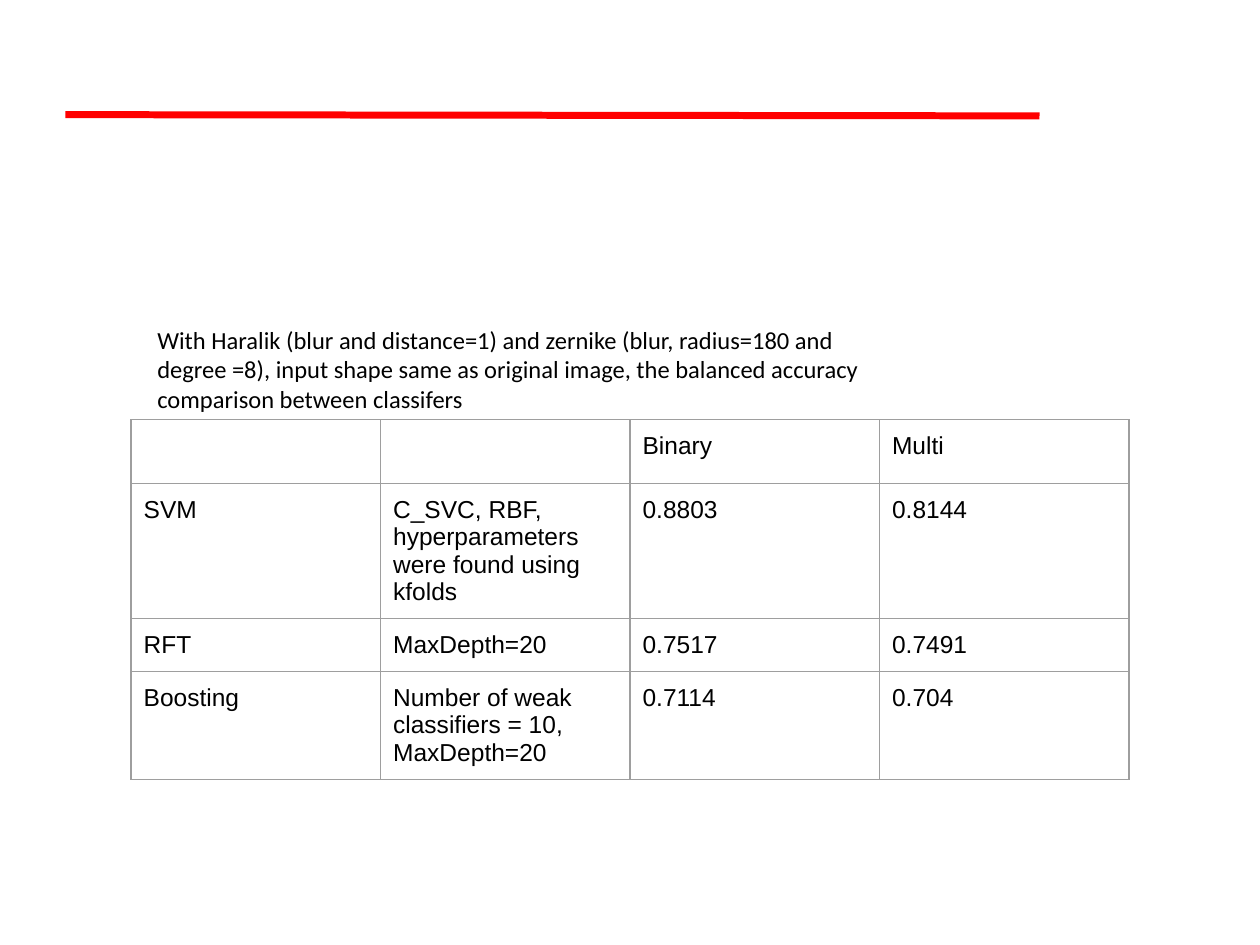
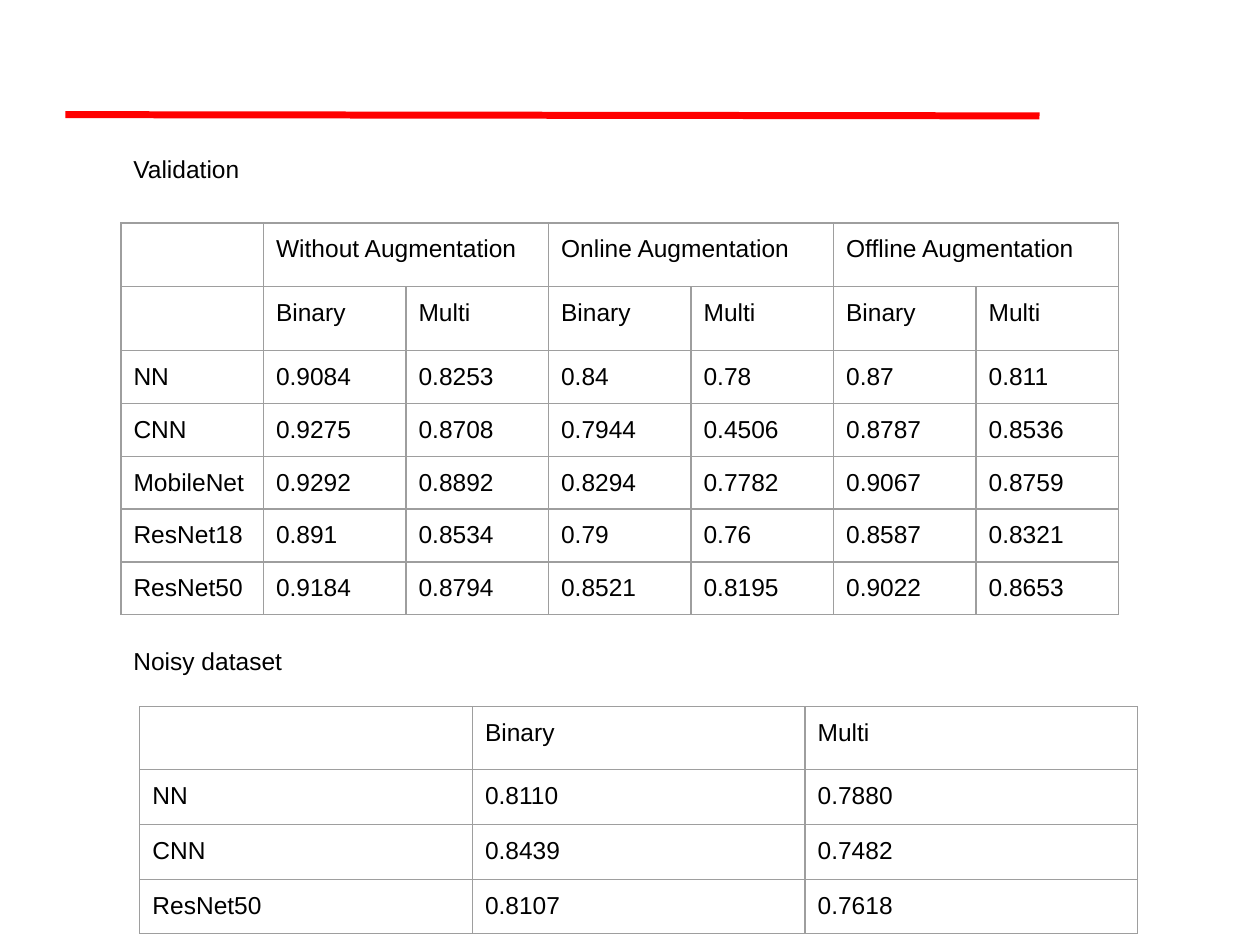
from lxml.etree import SubElement
from pptx import Presentation
from pptx.dml.color import RGBColor
from pptx.enum.shapes import MSO_CONNECTOR
from pptx.oxml.ns import qn
from pptx.util import Inches, Pt

RULE_COLOUR = "FF0000"
BORDER_COLOUR = "9E9E9E"
TEXT_COLOUR = "000000"
BACKGROUND_COLOUR = "FFFFFF"
INSET = Inches(0.1)
TABLE_WIDTH = 7.92
HEADER_HEIGHT = 0.48
ROW_HEIGHT = 0.42

CLASSIFIER_CAPTION = (
    "With Haralik (blur and distance=1) and zernike (blur, radius=180 and degree =8), "
    "input shape same as original image, the balanced accuracy comparison between classifers"
)
CLASSIFIER_ROWS = [
    ["", "", "Binary", "Multi"],
    ["SVM", "C_SVC, RBF, hyperparameters were found using kfolds", "0.8803", "0.8144"],
    ["RFT", "MaxDepth=20", "0.7517", "0.7491"],
    ["Boosting", "Number of weak classifiers = 10, MaxDepth=20", "0.7114", "0.704"],
]
VALIDATION_ROWS = [
    ["", "Without Augmentation", None, "Online Augmentation", None, "Offline Augmentation", None],
    [""] + ["Binary", "Multi"] * 3,
    ["NN", "0.9084", "0.8253", "0.84", "0.78", "0.87", "0.811"],
    ["CNN", "0.9275", "0.8708", "0.7944", "0.4506", "0.8787", "0.8536"],
    ["MobileNet", "0.9292", "0.8892", "0.8294", "0.7782", "0.9067", "0.8759"],
    ["ResNet18", "0.891", "0.8534", "0.79", "0.76", "0.8587", "0.8321"],
    ["ResNet50", "0.9184", "0.8794", "0.8521", "0.8195", "0.9022", "0.8653"],
]
NOISY_ROWS = [
    ["", "Binary", "Multi"],
    ["NN", "0.8110", "0.7880"],
    ["CNN", "0.8439", "0.7482"],
    ["ResNet50", "0.8107", "0.7618"],
]


def colour(hex_string):
    """Turn a hex string into a colour."""
    return RGBColor.from_string(hex_string)


def set_attributes(target, values):
    """Set each named attribute of the target."""
    for name, value in values.items():
        setattr(target, name, value)


def write_text(frame, text, font_name="Arial"):
    """Write one formatted paragraph into a text frame."""
    run = frame.paragraphs[0].add_run()
    run.text = text
    set_attributes(run.font, {"name": font_name, "size": Pt(14), "bold": False})
    run.font.color.rgb = colour(TEXT_COLOUR)


def add_caption(slide, box, text, font_name="Arial"):
    """Add a wrapped text box in the given box."""
    frame = slide.shapes.add_textbox(*map(Inches, box)).text_frame
    margins = dict.fromkeys(("margin_left", "margin_right", "margin_top", "margin_bottom"), INSET)
    set_attributes(frame, {"word_wrap": True, **margins})
    write_text(frame, text, font_name)


def add_borders(cell):
    """Draw a thin grey line on the four sides of a cell."""
    properties = cell._tc.get_or_add_tcPr()
    for side in ("a:lnL", "a:lnR", "a:lnT", "a:lnB"):
        line = SubElement(properties, qn(side), w=str(Pt(0.75)))
        fill = SubElement(line, qn("a:solidFill"))
        SubElement(fill, qn("a:srgbClr"), val=BORDER_COLOUR)


def format_cell(cell, text):
    """Give a cell its borders, margins and text."""
    add_borders(cell)
    cell.fill.background()
    margins = ("margin_left", "margin_right", "margin_top", "margin_bottom")
    set_attributes(cell, dict.fromkeys(margins, INSET))
    if text:
        write_text(cell.text_frame, text)


def add_results_table(slide, left, top, rows, heights):
    """Add a table of equal columns, where None joins a cell to the one on its left."""
    column_count = len(rows[0])
    box = map(Inches, (left, top, TABLE_WIDTH, sum(heights)))
    table = slide.shapes.add_table(len(rows), column_count, *box).table
    set_attributes(table, {"first_row": False, "horz_banding": False})
    for column in table.columns:
        column.width = Inches(TABLE_WIDTH / column_count)
    for row_index, (row, height) in enumerate(zip(rows, heights)):
        table.rows[row_index].height = Inches(height)
        for column_index, text in enumerate(row):
            cell = table.cell(row_index, column_index)
            format_cell(cell, text)
            if text is None:
                table.cell(row_index, column_index - 1).merge(cell)


def add_ruled_slide(presentation):
    """Add a blank slide with the red rule at its head."""
    slide = presentation.slides.add_slide(presentation.slide_layouts[6])
    slide.background.fill.solid()
    slide.background.fill.fore_color.rgb = colour(BACKGROUND_COLOUR)
    ends = map(Inches, (0.52, 0.91, 8.25, 0.92))
    rule = slide.shapes.add_connector(MSO_CONNECTOR.STRAIGHT, *ends)
    rule.line.color.rgb = colour(RULE_COLOUR)
    rule.line.width = Pt(4)
    SubElement(rule._element.spPr, qn("a:effectLst"))
    return slide


def build_classifier_slide(presentation):
    """Build the comparison of classifiers."""
    slide = add_ruled_slide(presentation)
    add_results_table(slide, 1.04, 3.33, CLASSIFIER_ROWS, [HEADER_HEIGHT, 1.07, ROW_HEIGHT, 0.86])
    add_caption(slide, (1.15, 2.48, 6.04, 0.91), CLASSIFIER_CAPTION, "Calibri")


def build_network_slide(presentation):
    """Build the validation and noisy dataset results."""
    slide = add_ruled_slide(presentation)
    validation_heights = [HEADER_HEIGHT] * 2 + [ROW_HEIGHT] * 5
    add_results_table(slide, 0.96, 1.77, VALIDATION_ROWS, validation_heights)
    for top, text in ((1.12, "Validation"), (5.03, "Noisy dataset")):
        add_caption(slide, (0.96, top, 3.28, 0.44), text)
    add_results_table(slide, 1.11, 5.61, NOISY_ROWS, [0.5] + [0.43] * 3)


def main():
    """Build and save the presentation."""
    presentation = Presentation()
    set_attributes(presentation, {"slide_width": Inches(10), "slide_height": Inches(7.5)})
    build_classifier_slide(presentation)
    build_network_slide(presentation)
    presentation.save("out.pptx")


if __name__ == "__main__":
    main()
